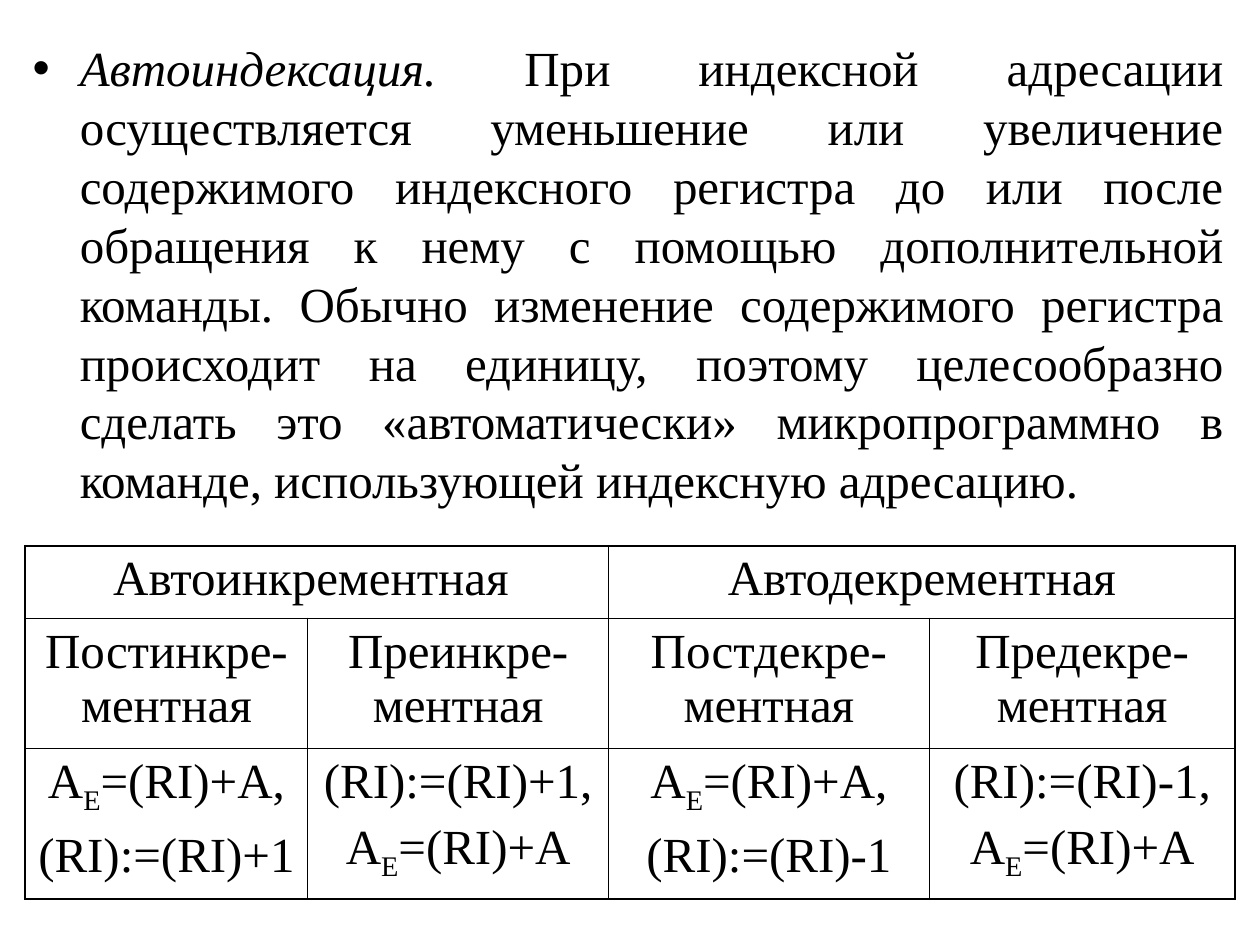
"""Build a slide on auto-indexing with a table of its four addressing variants."""
from lxml import etree
from pptx import Presentation, util as u
from pptx.dml.color import RGBColor
from pptx.enum import text
from pptx.oxml.ns import qn

COLORS = {"ink": "000000"}
FONT = {"name": "Times New Roman", "size": u.Pt(28)}
LEAD = "Автоиндексация."
BODY = (
    " При индексной адресации осуществляется уменьшение или увеличение "
    "содержимого индексного регистра до или после обращения к нему с помощью "
    "дополнительной команды. Обычно изменение содержимого регистра происходит "
    "на единицу, поэтому целесообразно сделать это «автоматически» "
    "микропрограммно в команде, использующей индексную адресацию."
)
ROWS = [
    [["Автоинкрементная "], None, ["Автодекрементная"], None],
    [["Постинкре-ментная"], ["Преинкре-ментная"],
     ["Постдекре-ментная"], ["Предекре-ментная"]],
    [["А_Е_=(RI)+A,", "(RI):=(RI)+1"], ["(RI):=(RI)+1,", "А_Е_=(RI)+A"],
     ["А_Е_=(RI)+A,", "(RI):=(RI)-1"], ["(RI):=(RI)-1,", "А_Е_=(RI)+A"]],
]
WIDTHS = [5.69, 6.07, 6.46, 6.17]
HEIGHTS = [1.46, 2.62, 3.04]
OUTER, INNER = 1.08, 0.45


def add_run(p, content, **extra):
    r = p.add_run()
    r.text = content
    for key, value in {**FONT, **extra}.items():
        setattr(r.font, key, value)
    r.font.color.rgb = RGBColor.from_string(COLORS["ink"])
    return r


def set_borders(cell, widths):
    tc_pr = cell._tc.get_or_add_tcPr()
    for i, (side, width) in enumerate(widths.items()):
        ln = etree.Element(qn(f"a:ln{side}"), w=str(u.Pt(width)))
        fill = etree.SubElement(ln, qn("a:solidFill"))
        etree.SubElement(fill, qn("a:srgbClr"), val=COLORS["ink"])
        tc_pr.insert(i, ln)


def fill_cell(cell, lines):
    tf = cell.text_frame
    for i, line in enumerate(lines):
        p = tf.add_paragraph() if i else tf.paragraphs[0]
        p.alignment = text.PP_ALIGN.CENTER
        if i:
            p.space_before = u.Pt(7)
        for k, part in enumerate(line.split("_")):
            r = add_run(p, part)
            if k % 2:
                r.font._element.set("baseline", "-25000")


def add_variants(s):
    n_rows, n_cols = len(HEIGHTS), len(WIDTHS)
    frame = s.shapes.add_table(n_rows, n_cols, u.Cm(0.51), u.Cm(11),
                               u.Cm(sum(WIDTHS)), u.Cm(sum(HEIGHTS)))
    table = frame.table
    table.first_row = table.horz_banding = False
    for col, width in zip(table.columns, WIDTHS):
        col.width = u.Cm(width)
    for row, height in zip(table.rows, HEIGHTS):
        row.height = u.Cm(height)
    for i, row in enumerate(ROWS):
        for j, lines in enumerate(row):
            cell = table.cell(i, j)
            cell.fill.background()
            edges = {"L": j == 0, "R": j == n_cols - 1,
                     "T": i == 0, "B": i == n_rows - 1}
            if lines is None:
                table.cell(i, j - 1).merge(cell)
            else:
                fill_cell(cell, lines)
                edges["R"] |= j + 2 == n_cols and row[j + 1] is None
            set_borders(cell, {side: OUTER if edge else INNER
                               for side, edge in edges.items()})


def add_definition(s):
    sp = s.shapes.add_textbox(u.Cm(0.41), u.Cm(0.64), u.Cm(24.5), u.Cm(9.7))
    tf = sp.text_frame
    tf.word_wrap = True
    p = tf.paragraphs[0]
    p_pr = p._p.get_or_add_pPr()
    indent = u.Cm(0.95)
    p_pr.set("marL", str(indent))
    p_pr.set("indent", str(-indent))
    etree.SubElement(p_pr, qn("a:buFont"), typeface="Arial")
    etree.SubElement(p_pr, qn("a:buChar"), char="•")
    p.alignment = text.PP_ALIGN.JUSTIFY
    add_run(p, LEAD, italic=True)
    add_run(p, BODY)


def main():
    prs = Presentation()
    prs.slide_width, prs.slide_height = u.Cm(25.4), u.Cm(19.05)
    s = prs.slides.add_slide(prs.slide_layouts[6])
    add_variants(s)
    add_definition(s)
    prs.save("out.pptx")


if __name__ == "__main__":
    main()
